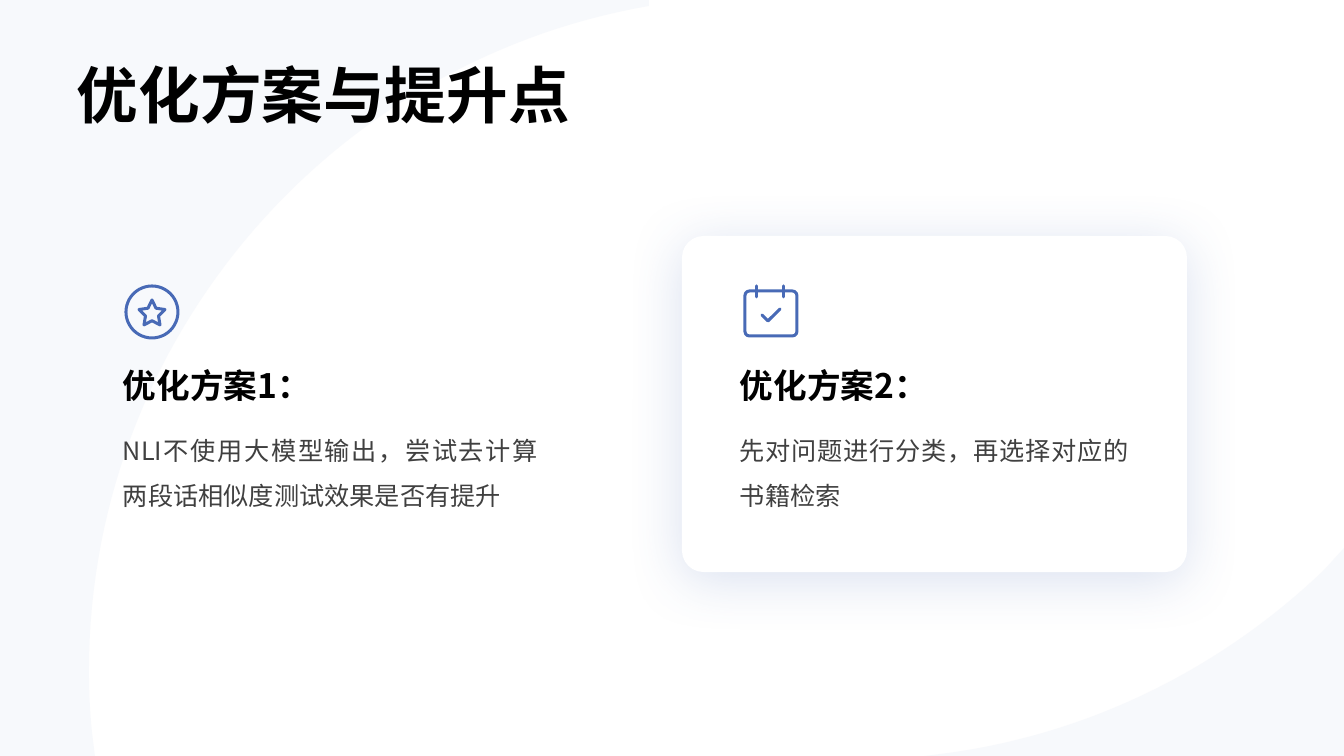
from dataclasses import dataclass

from lxml import etree
from pptx import Presentation
from pptx.dml.color import RGBColor
from pptx.enum.shapes import MSO_CONNECTOR, MSO_SHAPE
from pptx.enum.text import MSO_ANCHOR, PP_ALIGN
from pptx.oxml.ns import qn
from pptx.util import Pt

BOTTOM, TOP = MSO_ANCHOR.BOTTOM, MSO_ANCHOR.TOP
LEFT, JUSTIFY = PP_ALIGN.LEFT, PP_ALIGN.JUSTIFY
ROUND, OVAL, STAR = (MSO_SHAPE.ROUNDED_RECTANGLE, MSO_SHAPE.OVAL,
                     MSO_SHAPE.STAR_5_POINT)
STRAIGHT = MSO_CONNECTOR.STRAIGHT
SCALE = 914400 / 100.8


@dataclass(frozen=True)
class Theme:
    font: str = "Noto Sans CJK SC"
    black: str = "000000"
    body: str = "404040"
    white: str = "FFFFFF"
    blue: str = "486AB6"
    pale: str = "DAE1F0"
    title_pt: int = 44
    head_pt: int = 24
    body_pt: int = 18
    stroke: int = 3


THEME = Theme()


def px(n):
    return round(n * SCALE)


def rgb(code):
    return RGBColor.from_string(code)


def sub(node, tag, **attrs):
    return etree.SubElement(node, qn(tag), {k: str(v) for k, v in attrs.items()})


def bezier(a, b, c, d, steps=60):
    """Points along a cubic curve from a to d."""
    ts = [i / steps for i in range(steps + 1)]
    return [tuple((1 - t) ** 3 * p + 3 * t * (1 - t) ** 2 * q
                  + 3 * t * t * (1 - t) * r + t ** 3 * s
                  for p, q, r, s in zip(a, b, c, d)) for t in ts]


def outline(slide, points, close):
    points = [(px(x), px(y)) for x, y in points]
    build = slide.shapes.build_freeform(*points[0])
    build.add_line_segments(points[1:], close=close)
    shape = build.convert_to_shape()
    shape.shadow.inherit = False
    return shape


def corner(slide, points):
    """Pale, see-through patch in a corner of the slide."""
    shape = outline(slide, points, True)
    shape.fill.solid()
    shape.fill.fore_color.rgb = rgb(THEME.pale)
    color = shape.fill._xPr.find(".//" + qn("a:srgbClr"))
    sub(color, "a:alpha", val=20000)
    shape.line.fill.background()


def stroke(shape):
    line = shape.line
    line.color.rgb = rgb(THEME.blue)
    line.width = px(THEME.stroke)
    ln = line._get_or_add_ln()
    ln.set("cap", "rnd")
    sub(ln, "a:round")


def ring(slide, kind, x, y, w, h, adjust=None):
    """Preset shape with a blue line and no fill."""
    shape = slide.shapes.add_shape(kind, px(x), px(y), px(w), px(h))
    shape.shadow.inherit = False
    shape.fill.background()
    if adjust is not None:
        shape.adjustments[0] = adjust
    stroke(shape)


def tick(slide, x, y, end):
    line = slide.shapes.add_connector(STRAIGHT, px(x), px(y), px(x), px(end))
    stroke(line)
    sub(line._element.spPr, "a:effectLst")


def card(slide, x, y, w, h):
    shape = slide.shapes.add_shape(ROUND, px(x), px(y), px(w), px(h))
    shape.adjustments[0] = 0.064
    shape.fill.solid()
    shape.fill.fore_color.rgb = rgb(THEME.white)
    shape.line.fill.background()
    shape.shadow.inherit = False
    effects = shape._element.spPr.find(qn("a:effectLst"))
    glow = sub(effects, "a:outerShdw", blurRad=Pt(40), dist=Pt(6),
               dir=90 * 60000, algn="t", rotWithShape=0)
    sub(sub(glow, "a:srgbClr", val=THEME.blue), "a:alpha", val=20000)


def label(slide, text, box, size, color, bold=False, align=LEFT,
          anchor=TOP, space=1.0):
    frame = slide.shapes.add_textbox(*map(px, box)).text_frame
    frame.word_wrap = True
    frame.vertical_anchor = anchor
    frame.margin_left = frame.margin_right = 0
    frame.margin_top = frame.margin_bottom = 0
    frame.text = text
    para = frame.paragraphs[0]
    para.alignment = align
    para.line_spacing = space
    font = para.runs[0].font
    font.name, font.size, font.bold = THEME.font, Pt(size), bold
    font.color.rgb = rgb(color)
    sub(font._element, "a:ea", typeface=THEME.font)


def plan(slide, x, width, head, body):
    label(slide, head, (x, 365, 389, 36), THEME.head_pt, THEME.black, bold=True)
    label(slide, body, (x, 420, width, 105), THEME.body_pt, THEME.body,
          align=JUSTIFY, space=1.5)


def badge(slide, x, y):
    """Star in a circle."""
    ring(slide, OVAL, x, y, 52, 52)
    ring(slide, STAR, x + 13, y + 14, 26, 25, 0.25)


def calendar(slide, x, y):
    """Calendar page with a check mark."""
    ring(slide, ROUND, x, y, 52, 45, 0.1)
    for dx in (12, 39):
        tick(slide, x + dx, y - 5, y + 6)
    check = outline(slide, [(x + 17, y + 24), (x + 23, y + 30),
                            (x + 35, y + 18)], False)
    check.fill.background()
    stroke(check)


def main():
    deck = Presentation()
    deck.slide_width, deck.slide_height = px(1344), px(756)
    slide = deck.slides.add_slide(deck.slide_layouts[6])

    corner(slide, [(0, 0), (649, 0), (649, 6)]
           + bezier((633, 9), (324, 70), (89, 344), (89, 671))
           + bezier((89, 671), (89, 691), (90, 712), (92, 732))
           + [(95, 756), (0, 756)])
    corner(slide, [(1344, 548), (1344, 756), (925, 756)]
           + bezier((955, 752), (1097, 731), (1225, 665), (1324, 570)))

    label(slide, "优化方案与提升点", (77, 43, 1190, 88), THEME.title_pt,
          THEME.black, bold=True, anchor=BOTTOM)
    card(slide, 682, 236, 505, 336)
    plan(slide, 123, 415, "优化方案1：",
         "NLI不使用大模型输出，尝试去计算两段话相似度测试效果是否有提升")
    plan(slide, 740, 389, "优化方案2：",
         "先对问题进行分类，再选择对应的书籍检索")
    badge(slide, 126, 286)
    calendar(slide, 745, 291)
    deck.save("out.pptx")


if __name__ == "__main__":
    main()
